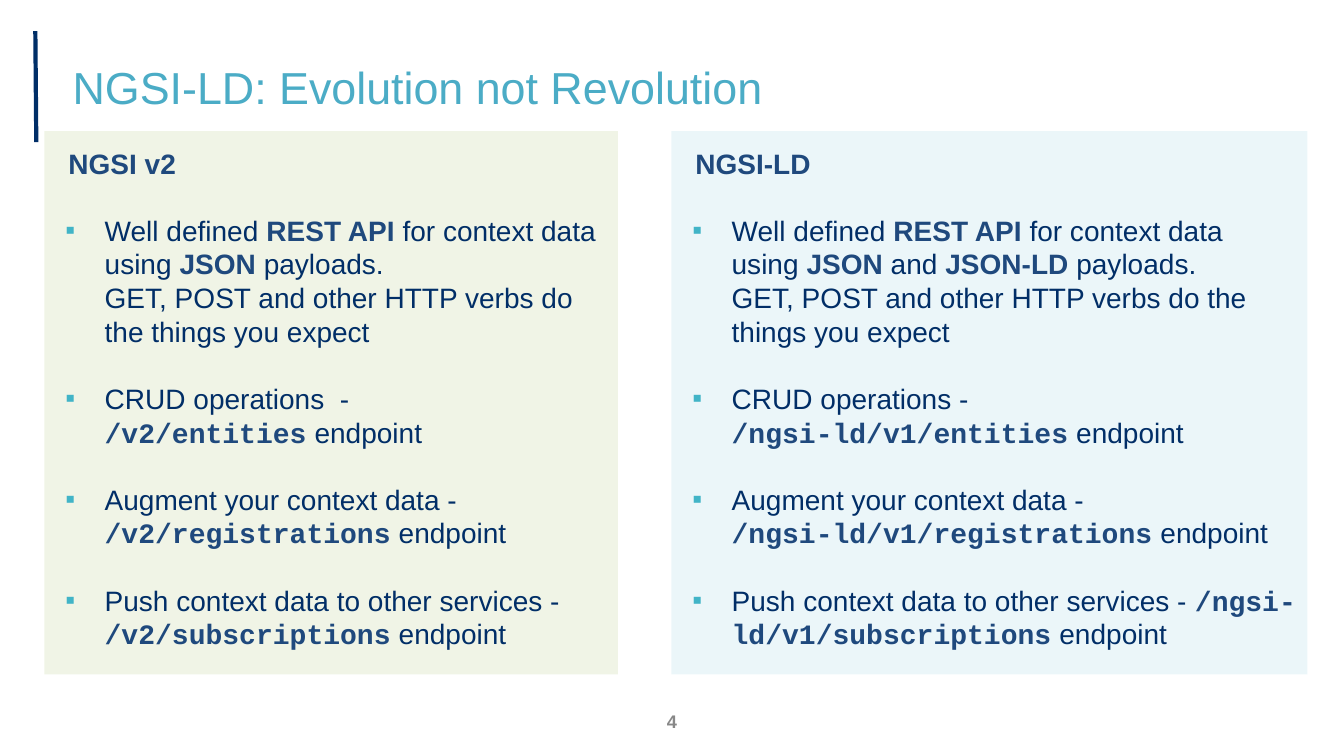
from pptx import Presentation
from pptx.dml.color import RGBColor
from pptx.enum.shapes import MSO_CONNECTOR, MSO_SHAPE
from pptx.enum.text import MSO_ANCHOR, PP_ALIGN
from pptx.oxml.ns import qn
from pptx.util import Inches, Pt
from lxml.etree import SubElement

COLORS = {
    "title": "4BACC6", "rule": "002E67", "body": "012E67", "strong": "1F497D",
    "bullet": "41B4C7", "number": "888888", "green": "9BBB59", "blue": "50B3CE",
}
STYLES = {
    "text": ("Arial", 20, "body", False),
    "bold": ("Arial", 20, "strong", True),
    "code": ("Courier New", 20, "strong", True),
    "title": ("Arial", 32, "title", False),
    "number": ("Arial", 13, "number", True),
}

prs = Presentation()
prs.slide_width, prs.slide_height = Inches(13.33), Inches(7.5)
s = prs.slides.add_slide(prs.slide_layouts[5])


def share(x, y, w, h):
    sizes = (prs.slide_width, prs.slide_height) * 2
    return [int(size * pct / 100) for size, pct in zip(sizes, (x, y, w, h))]


def add_run(p, text, style):
    r = p.add_run()
    r.text = text
    r.font.name, size, color, r.font.bold = STYLES[style]
    r.font.size = Pt(size)
    r.font.color.rgb = RGBColor.from_string(COLORS[color])


title = s.shapes.title
title.left, title.top, title.width, title.height = share(4.65, 4.13, 86.1, 14.67)
title.text_frame.vertical_anchor = MSO_ANCHOR.MIDDLE
p = title.text_frame.paragraphs[0]
p.alignment = PP_ALIGN.LEFT
add_run(p, "NGSI-LD: Evolution not Revolution", "title")

rule = s.shapes.add_connector(MSO_CONNECTOR.STRAIGHT, *share(2.7, 18.8, 2.63, 4.13))
rule.line.color.rgb = RGBColor.from_string(COLORS["rule"])
rule.line.width = Pt(3)
SubElement(rule._element.spPr, qn("a:effectLst"))

VERBS = ("text", "GET, POST and other HTTP verbs do the things you expect")
BREAK = ("break", "")
ENDPOINT = ("text", " endpoint")
INTRO = [("text", "Well defined "), ("bold", "REST API"),
         ("text", " for context data using "), ("bold", "JSON")]
AUGMENT = ("text", "Augment your context data - ")
PUSH = ("text", "Push context data to other services - ")

panels = [
    ("NGSI v2", 3.3, 42.68, "green", 15, [
        INTRO + [("text", " payloads."), BREAK, VERBS],
        [("text", "CRUD operations  -"), BREAK, ("code", "/v2/entities"), ENDPOINT],
        [AUGMENT, BREAK, ("code", "/v2/registrations"), ENDPOINT],
        [PUSH, BREAK, ("code", "/v2/subscriptions"), ENDPOINT],
    ]),
    ("NGSI-LD", 49.95, 47.33, "blue", 11, [
        INTRO + [("text", " and "), ("bold", "JSON-LD "), ("text", "payloads."), BREAK, VERBS],
        [("text", "CRUD operations - "), BREAK, ("code", "/ngsi-ld/v1/entities"), ENDPOINT],
        [AUGMENT, BREAK, ("code", "/ngsi-ld/v1/registrations"), ENDPOINT],
        [PUSH, ("code", "/ngsi-ld/v1/subscriptions"), ENDPOINT],
    ]),
]

for heading, left, width, color, opacity, items in panels:
    sp = s.shapes.add_shape(MSO_SHAPE.RECTANGLE, *share(left, 17.33, width, 71.87))
    sp.shadow.inherit = False
    sp.line.fill.background()
    sp.fill.solid()
    sp.fill.fore_color.rgb = RGBColor.from_string(COLORS[color])
    srgb = sp._element.spPr.find(qn("a:solidFill")).find(qn("a:srgbClr"))
    SubElement(srgb, qn("a:alpha"), val=str(opacity * 1000))

    tf = sp.text_frame
    tf.word_wrap = True
    tf.vertical_anchor = MSO_ANCHOR.TOP
    tf.margin_top = Inches(0.15)
    p = tf.paragraphs[0]
    p.alignment = PP_ALIGN.LEFT
    p.line_spacing = Pt(24)
    pPr = p._p.get_or_add_pPr()
    pPr.set("marL", str(Inches(0.33)))
    pPr.set("indent", str(Inches(-0.19)))
    add_run(p, heading, "bold")

    for item in items:
        p = tf.add_paragraph()
        p.alignment = PP_ALIGN.LEFT
        p.line_spacing = Pt(24)
        p.space_before = Pt(24)
        pPr = p._p.get_or_add_pPr()
        pPr.set("marL", str(Inches(0.5)))
        pPr.set("indent", str(Inches(-0.39)))
        SubElement(SubElement(pPr, qn("a:buClr")), qn("a:srgbClr"), val=COLORS["bullet"])
        SubElement(pPr, qn("a:buFont"), typeface="Arial")
        SubElement(pPr, qn("a:buChar"), char="▪")
        for style, text in item:
            if style == "break":
                p.add_line_break()
            else:
                add_run(p, text, style)

number = s.shapes.add_textbox(*share(44.33, 92.67, 11.33, 5.33))
tf = number.text_frame
tf.word_wrap = True
tf.vertical_anchor = MSO_ANCHOR.MIDDLE
p = tf.paragraphs[0]
p.alignment = PP_ALIGN.CENTER
add_run(p, "4", "number")

prs.save("out.pptx")
